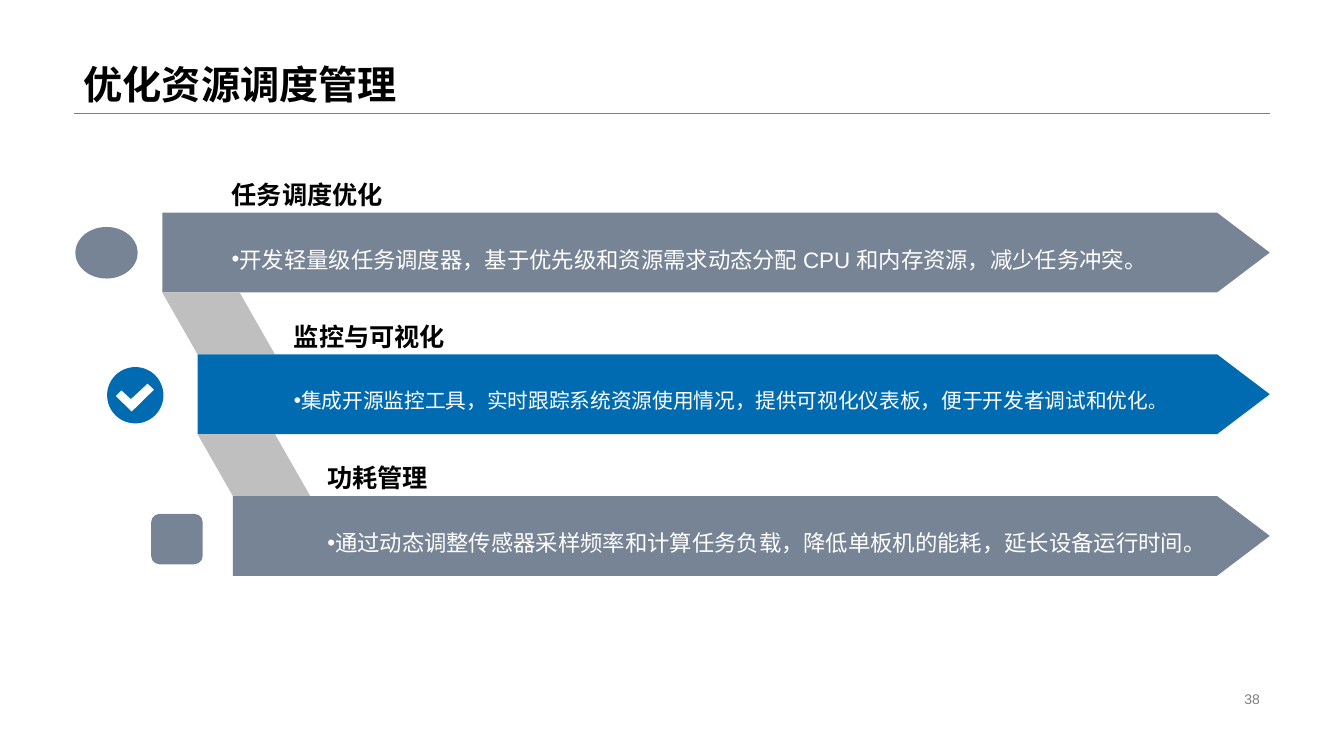
from lxml.etree import SubElement
from pptx import Presentation
from pptx.dml.color import RGBColor
from pptx.enum.shapes import MSO_CONNECTOR, MSO_SHAPE
from pptx.enum.text import MSO_ANCHOR, PP_ALIGN
from pptx.oxml.ns import qn
from pptx.util import Cm, Pt

BLACK = RGBColor(0x00, 0x00, 0x00)
WHITE = RGBColor(0xFF, 0xFF, 0xFF)
GREY = RGBColor(0x80, 0x80, 0x80)
SLATE = RGBColor(0x77, 0x84, 0x95)
BLUE = RGBColor(0x00, 0x6B, 0xB1)
SILVER = RGBColor(0xBF, 0xBF, 0xBF)

BAR_LEFT, BAR_TOP, BAR_RIGHT, BAR_HEIGHT = 4.09, 5.36, 32, 2.01
STEP_X, STEP_Y = 0.89, 3.57
TEXT_RIGHT = 30.56


def add_text(place, spans, bullet=False, anchor=MSO_ANCHOR.MIDDLE, spacing=None,
             align=PP_ALIGN.LEFT, color=BLACK, bold=False):
    """Add a one-paragraph text box; spans are (text, size in points) pairs."""
    box = page.shapes.add_textbox(*map(Cm, place))
    frame = box.text_frame
    frame.word_wrap = True
    frame.vertical_anchor = anchor
    para = frame.paragraphs[0]
    para.alignment = align
    if spacing:
        para.line_spacing = spacing
    if bullet:
        properties = para._p.get_or_add_pPr()
        properties.set("marL", "0")
        properties.set("indent", str(-Cm(0.48)))
        SubElement(properties, qn("a:buFont")).set("typeface", "Arial")
        SubElement(properties, qn("a:buChar")).set("char", "•")
    for text, size in spans:
        span = para.add_run()
        span.text = text
        span.font.color.rgb = color
        values = {"name": "Arial", "size": Pt(size), "bold": bold}
        for name, value in values.items():
            setattr(span.font, name, value)


def paint(shape, color):
    shape.shadow.inherit = False
    shape.fill.solid()
    shape.fill.fore_color.rgb = color
    shape.line.fill.background()


deck = Presentation()
deck.slide_width, deck.slide_height = Cm(33.87), Cm(19.05)
page = deck.slides.add_slide(deck.slide_layouts[6])

rule = page.shapes.add_connector(MSO_CONNECTOR.STRAIGHT, Cm(1.86), Cm(2.86), Cm(32), Cm(2.86))
rule.line.color.rgb = GREY
rule.line.width = Pt(0.25)
SubElement(rule._element.spPr, qn("a:effectLst"))
add_text((1.86, 0, 30.14, 2.84), [("优化资源调度管理", 28)],
         anchor=MSO_ANCHOR.BOTTOM, spacing=0.9, bold=True)
add_text((23.93, 17.32, 8.07, 0.58), [("38", 10)], align=PP_ALIGN.RIGHT, color=GREY)

# Heading, body spans, colour, text left, icon shape, icon place
steps = [
    ("任务调度优化",
     [("开发轻量级任务调度器，基于优先级和资源需求动态分配 CPU 和内存资源，减少任务冲突。", 16)],
     SLATE, 5.59, MSO_SHAPE.OVAL, (1.9, 5.72, 1.57, 1.3)),
    ("监控与可视化",
     [("集成开源监控工具，实时跟踪系统资源使用情况，提供可视化仪表板，便于开发者调试和优化", 14.8),
      ("。", 12.9)],
     BLUE, 7.16, MSO_SHAPE.OVAL, (2.7, 9.25, 1.42, 1.42)),
    ("功耗管理",
     [("通过动态调整传感器采样频率和计算任务负载，降低单板机的能耗，延长设备运行时间。", 16)],
     SLATE, 8, MSO_SHAPE.ROUNDED_RECTANGLE, (3.81, 12.95, 1.3, 1.27)),
]

for index, (heading, body, color, text_left, icon_kind, icon_place) in enumerate(steps):
    left = BAR_LEFT + index * STEP_X
    top = BAR_TOP + index * STEP_Y
    bar = page.shapes.add_shape(MSO_SHAPE.PENTAGON, Cm(left), Cm(top),
                                Cm(BAR_RIGHT - left), Cm(BAR_HEIGHT))
    bar.adjustments[0] = 0.66
    paint(bar, color)
    if index < len(steps) - 1:
        link = page.shapes.add_shape(MSO_SHAPE.PARALLELOGRAM, Cm(left), Cm(top + BAR_HEIGHT),
                                     Cm(2.84), Cm(STEP_Y - BAR_HEIGHT))
        link.adjustments[0] = STEP_X / (STEP_Y - BAR_HEIGHT)
        link._element.spPr.xfrm.set("flipH", "1")
        paint(link, SILVER)
    paint(page.shapes.add_shape(icon_kind, *map(Cm, icon_place)), color)
    add_text((text_left, top, TEXT_RIGHT - text_left, BAR_HEIGHT), body,
             bullet=True, spacing=1.5, color=WHITE)
    add_text((text_left, top - 0.98, 6.48, 1.04), [(heading, 18)], bold=True)

check_points = [(2.92, 9.98), (3.06, 9.84), (3.3, 10.06), (3.72, 9.67), (3.88, 9.82), (3.32, 10.37)]
start, *others = [(Cm(x), Cm(y)) for x, y in check_points]
outline = page.shapes.build_freeform(*start)
outline.add_line_segments(others, close=True)
paint(outline.convert_to_shape(), WHITE)

deck.save("out.pptx")
